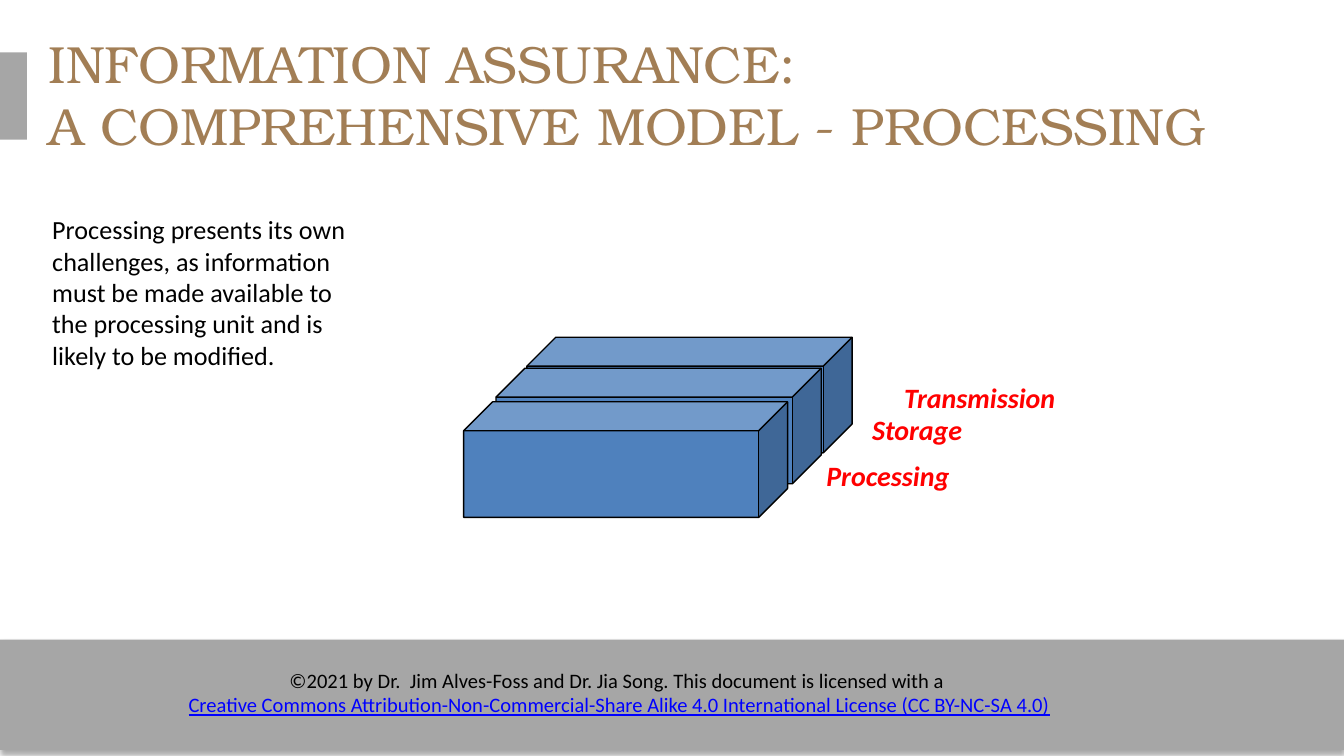
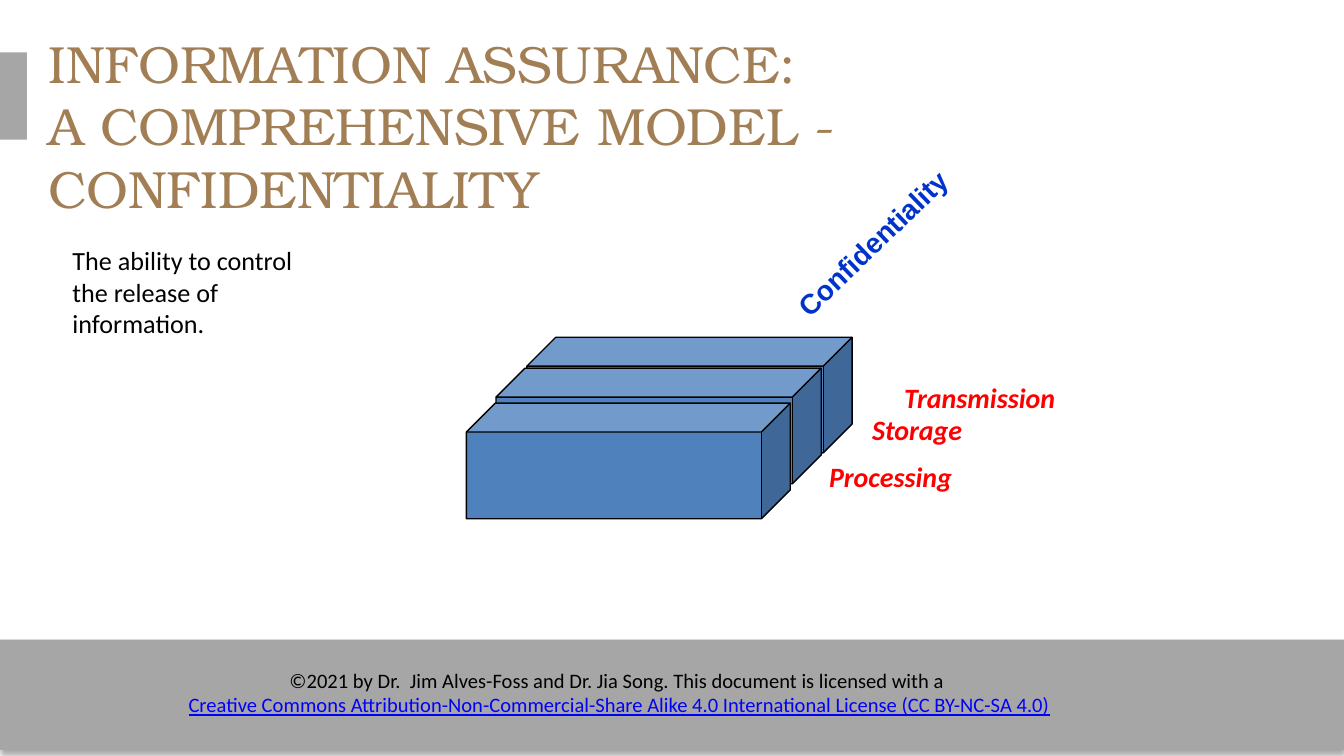
import copy

import lxml.etree
import pptx
import pptx.dml.color
import pptx.enum.shapes
import pptx.enum.text
import pptx.oxml
import pptx.oxml.ns
import pptx.util

Inches = pptx.util.Inches
RGBColor = pptx.dml.color.RGBColor
MSO_SHAPE = pptx.enum.shapes.MSO_SHAPE
PP_ALIGN = pptx.enum.text.PP_ALIGN
MSO_ANCHOR = pptx.enum.text.MSO_ANCHOR
MSO_AUTO_SIZE = pptx.enum.text.MSO_AUTO_SIZE

BLACK = RGBColor(0x00, 0x00, 0x00)
GREY = RGBColor(0xA6, 0xA6, 0xA6)
TAN = RGBColor(0xA2, 0x7E, 0x55)
STEEL = RGBColor(0x4F, 0x81, 0xBD)
RED = RGBColor(0xFF, 0x00, 0x00)
BLUE = RGBColor(0x00, 0x33, 0xCC)
LINK = RGBColor(0x00, 0x00, 0xFF)

TITLE = {"name": "TeX Gyre Bonum", "size": pptx.util.Pt(28), "color": TAN}
BODY = {"name": "Calibri", "size": pptx.util.Pt(14), "color": BLACK}
LABEL = {"name": "Calibri", "size": pptx.util.Pt(15), "color": RED, "bold": True, "italic": True}
PROPERTY = {"name": "Arial", "size": pptx.util.Pt(15), "color": BLUE, "bold": True}
FOOTER = {"name": "Calibri", "size": pptx.util.Pt(11), "color": BLACK}
FOOTER_LINK = {**FOOTER, "color": LINK, "underline": True}

FOOTER_LINES = [
    ("©2021 by Dr.  Jim Alves-Foss and Dr. Jia Song. This document is licensed with a ", FOOTER),
    ("Creative Commons Attribution-Non-Commercial-Share Alike 4.0 International License (CC BY-NC-SA 4.0)",
     FOOTER_LINK),
]
BAND_SHADOW = (
    f'<a:outerShdw {pptx.oxml.ns.nsdecls("a")} blurRad="40000" dist="23000" dir="5400000" rotWithShape="0">'
    '<a:srgbClr val="000000"><a:alpha val="35000"/></a:srgbClr></a:outerShdw>'
)


class Deck:
    def __init__(self):
        self.prs = pptx.Presentation()
        self.prs.slide_width = Inches(10)
        self.prs.slide_height = Inches(10) * 9 // 16
        self.s = None

    def format_run(self, r, style):
        for key, value in style.items():
            if key == "color":
                r.font.color.rgb = value
            else:
                setattr(r.font, key, value)

    def shape(self, shapes, kind, box, fill, line=None):
        sp = shapes.add_shape(kind, *map(Inches, box))
        sp.shadow.inherit = False
        sp.fill.solid()
        sp.fill.fore_color.rgb = fill
        if line is None:
            sp.line.fill.background()
        else:
            sp.line.color.rgb = line
            sp.line.width = pptx.util.Pt(0.75)
        return sp

    def text(self, shapes, box, lines, align=PP_ALIGN.LEFT, wrap=True, grow=False, rotation=0):
        sp = shapes.add_textbox(*map(Inches, box))
        sp.rotation = rotation
        tf = sp.text_frame
        tf.word_wrap = wrap
        tf.auto_size = MSO_AUTO_SIZE.SHAPE_TO_FIT_TEXT if grow else MSO_AUTO_SIZE.NONE
        for i, (line, style) in enumerate(lines):
            p = tf.add_paragraph() if i else tf.paragraphs[0]
            p.alignment = align
            r = p.add_run()
            r.text = line
            self.format_run(r, style)

    def title(self, text):
        sp = self.s.shapes.title
        sp.left, sp.top, sp.width, sp.height = map(Inches, (0.36, 0.23, 9, 0.63))
        tf = sp.text_frame
        settings = {"margin_left": 0, "margin_top": 0, "margin_right": 0, "margin_bottom": 0,
                    "vertical_anchor": MSO_ANCHOR.TOP, "auto_size": MSO_AUTO_SIZE.NONE, "word_wrap": True}
        for key, value in settings.items():
            setattr(tf, key, value)
        tf.text = text
        p = tf.paragraphs[0]
        p.alignment = PP_ALIGN.LEFT
        for r in p.runs:
            self.format_run(r, TITLE)
        for br in p._p.findall(pptx.oxml.ns.qn("a:br")):
            br.append(copy.deepcopy(p.runs[0]._r.rPr))

    def slide(self, topic):
        self.s = self.prs.slides.add_slide(self.prs.slide_layouts[5])
        shapes = self.s.shapes
        band = self.shape(shapes, MSO_SHAPE.RECTANGLE, (0, 4.76, 10, 0.82), GREY)
        effects = band._element.spPr.find(pptx.oxml.ns.qn("a:effectLst"))
        effects.append(lxml.etree.fromstring(BAND_SHADOW))
        self.text(shapes, (1.01, 4.92, 7.2, 0.47), FOOTER_LINES, align=PP_ALIGN.CENTER, grow=True)
        self.shape(shapes, MSO_SHAPE.RECTANGLE, (-0.03, 0.39, 0.23, 0.65), GREY)
        self.title(f"INFORMATION ASSURANCE:\vA COMPREHENSIVE MODEL - {topic}")

    def block(self, name, cube_box, label_box):
        shapes = self.s.shapes.add_group_shape().shapes
        self.shape(shapes, MSO_SHAPE.CUBE, (*cube_box, 0.86), STEEL, BLACK)
        self.text(shapes, (*label_box, 0.41), [(name, LABEL)])

    def blocks(self, front_left, front_top):
        self.block("Transmission", (3.92, 2.51, 2.42), (6.63, 2.78, 1.64))
        self.block("Storage", (3.69, 2.74, 2.42), (6.39, 3.02, 1.17))
        self.block("Processing", (front_left, front_top, 2.41), (front_left + 2.6, front_top + 0.37, 2.02))

    def body(self, box, text):
        self.text(self.s.shapes, box, [(text, BODY)], grow=True)

    def property_label(self, box, text):
        self.text(self.s.shapes, box, [(text, PROPERTY)], wrap=False, rotation=316.2)


def main():
    deck = Deck()

    deck.slide("PROCESSING")
    deck.blocks(3.45, 2.99)
    deck.body((0.29, 1.54, 2.55, 1.28),
              "Processing presents its own challenges, as information must be made available "
              "to the processing unit and is likely to be modified.")

    deck.slide("CONFIDENTIALITY")
    deck.blocks(3.47, 3)
    deck.property_label((5.64, 1.5, 2, 0.41), "Confidentiality")
    deck.body((0.44, 1.77, 2.05, 0.81), "The ability to control the release of information.")

    deck.prs.save("out.pptx")


if __name__ == "__main__":
    main()
